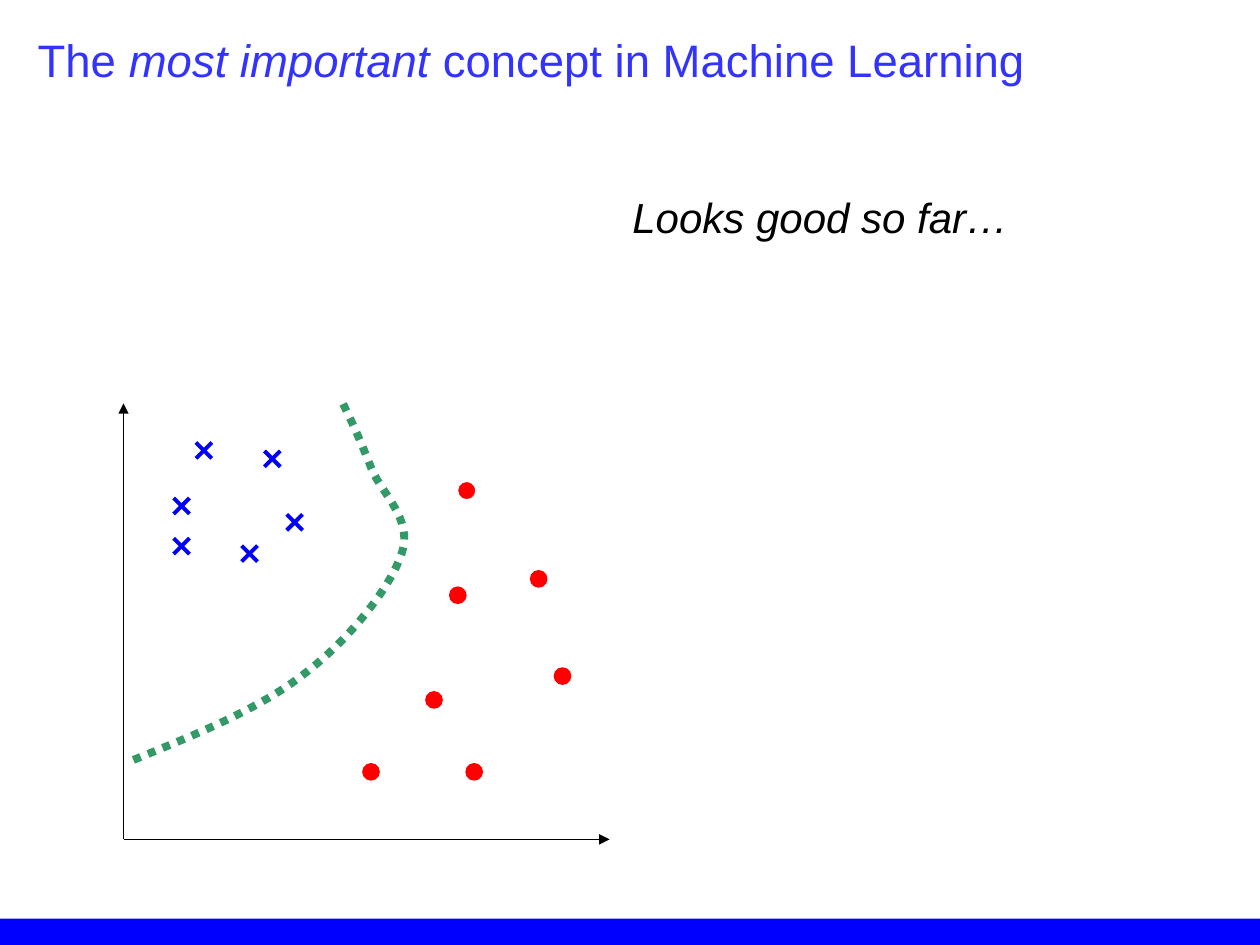
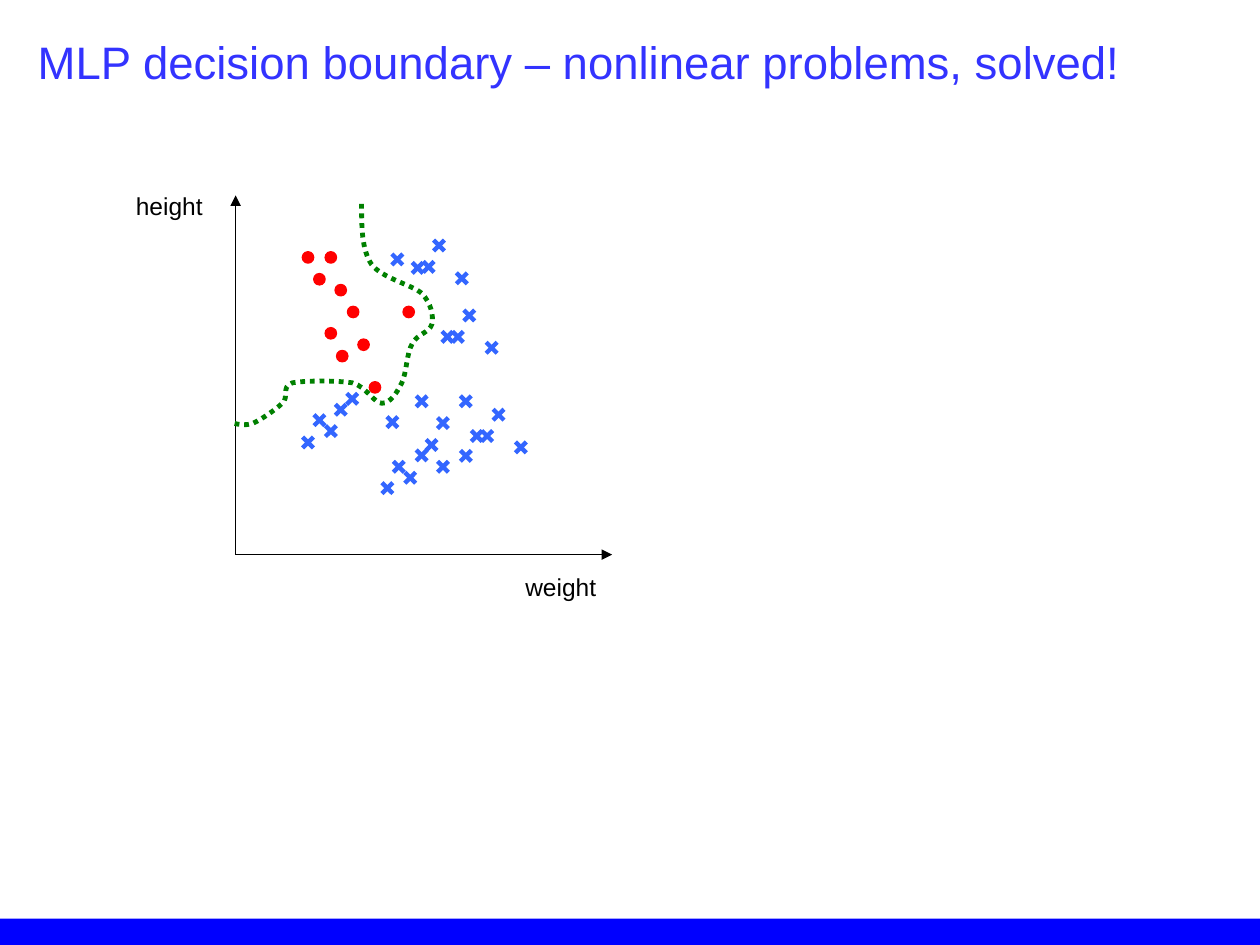
from lxml.etree import SubElement
from pptx import Presentation
from pptx.dml.color import RGBColor
from pptx.enum.dml import MSO_LINE
from pptx.enum.shapes import MSO_CONNECTOR as Link, MSO_SHAPE as Shape
from pptx.oxml.ns import qn
from pptx.util import Cm, Pt

WHITE = RGBColor(0xFF, 0xFF, 0xFF)
BLACK = RGBColor(0, 0, 0)
BLUE = RGBColor(0, 0, 0xFF)
TITLE_BLUE = RGBColor(0x33, 0x33, 0xFF)
SKY_BLUE = RGBColor(0x33, 0x66, 0xFF)
RED = RGBColor(0xFF, 0, 0)
SEA_GREEN = RGBColor(0x33, 0x99, 0x66)
GREEN = RGBColor(0, 0x80, 0)

WIDTH, HEIGHT = 25.4, 19.05
BAND_TOP = 18.52

TITLE = {"name": "Arial", "size": Pt(26)}
REMARK = {"name": "Arial", "size": Pt(24), "italic": True}
AXIS_LABEL = {"name": "Arial", "size": Pt(14)}


class Deck:
    """Holds the shared style and the slide being drawn; all lengths in cm."""

    def __init__(self):
        self.prs = Presentation()
        self.prs.slide_width, self.prs.slide_height = Cm(WIDTH), Cm(HEIGHT)
        self.slide = None

    def new_slide(self, title_runs, title_top):
        self.slide = self.prs.slides.add_slide(self.prs.slide_layouts[6])
        background = self.slide.background.fill
        background.solid()
        background.fore_color.rgb = WHITE
        self.solid(self.slide.shapes, Shape.RECTANGLE,
                   (0, BAND_TOP, WIDTH, HEIGHT - BAND_TOP), BLUE)
        self.text((0.51, title_top, 23.5, 1.37), title_runs, TITLE,
                  TITLE_BLUE, wrap=True)

    def text(self, box, runs, font_format, color=BLACK, wrap=False):
        """Write (text, extra font values) runs as one paragraph."""
        frame = self.slide.shapes.add_textbox(*map(Cm, box)).text_frame
        frame.word_wrap = wrap
        for words, extra in runs:
            run = frame.paragraphs[0].add_run()
            run.text = words
            for key, value in {**font_format, **extra}.items():
                setattr(run.font, key, value)
            run.font.color.rgb = color

    def solid(self, parent, kind, box, color, outline=None):
        shape = parent.add_shape(kind, *map(Cm, box))
        shape.shadow.inherit = False
        shape.fill.solid()
        shape.fill.fore_color.rgb = color
        if outline:
            self.stroke(shape.line, color, outline)
        else:
            shape.line.fill.background()

    def stroke(self, line, color, width):
        line.color.rgb = color
        line.width = Pt(width)

    def line(self, parent, start, end, color, width, arrow=False):
        connector = parent.add_connector(Link.STRAIGHT, *map(Cm, start + end))
        self.stroke(connector.line, color, width)
        properties = connector._element.spPr
        if arrow:
            SubElement(properties.find(qn("a:ln")), qn("a:tailEnd"), type="triangle")
        SubElement(properties, qn("a:effectLst"))

    def axes(self, origin, top, right):
        for tip in ((origin[0], top), (right, origin[1])):
            self.line(self.slide.shapes, origin, tip, BLACK, 0.75, arrow=True)

    def crosses(self, centres, size, color, width):
        half = size / 2
        for x, y in centres:
            cross = self.slide.shapes.add_group_shape().shapes
            for rise in (half, -half):
                self.line(cross, (x - half, y + rise), (x + half, y - rise), color, width)

    def dots(self, centres, size, outline=0.75):
        for x, y in centres:
            self.solid(self.slide.shapes, Shape.OVAL,
                       (x - size / 2, y - size / 2, size, size), RED, outline)

    def boundary(self, points, color, width):
        """Dotted Bézier curve: a start, then two handles and an end per segment."""
        start, *rest = [(Cm(x), Cm(y)) for x, y in points]
        builder = self.slide.shapes.build_freeform(*start)
        builder.add_line_segments(rest, close=False)
        curve = builder.convert_to_shape()
        curve.shadow.inherit = False
        curve.fill.background()
        self.stroke(curve.line, color, width)
        curve.line.dash_style = MSO_LINE.ROUND_DOT
        # Merge each three straight steps into one cubic segment
        outline = curve._element.find(".//" + qn("a:path"))
        steps = outline.findall(qn("a:lnTo"))
        for first in range(0, len(steps), 3):
            segment = SubElement(outline, qn("a:cubicBezTo"))
            for step in steps[first:first + 3]:
                segment.append(step[0])
                outline.remove(step)


def concept_slide(deck):
    deck.new_slide([("The ", {}), ("most important", {"italic": True}),
                    (" concept in Machine Learning", {})], 0.53)
    deck.axes((2.49, 16.92), top=8.13, right=12.29)
    deck.text((12.5, 3.73, 8.2, 2.29), [("Looks good so far…", {})], REMARK)
    deck.boundary([
        (2.69, 15.32),
        (3.94, 14.81), (5.21, 14.3), (6.1, 13.61),
        (7.01, 12.93), (7.87, 11.86), (8.1, 11.15),
        (8.33, 10.46), (7.7, 9.96), (7.49, 9.45),
        (7.29, 8.94), (7.11, 8.53), (6.91, 8.13),
    ], SEA_GREEN, 4.5)
    # The two classes
    deck.crosses([(4.11, 9.08), (5.49, 9.25), (3.66, 10.2), (3.66, 11.01),
                  (5.03, 11.16), (5.94, 10.53)], 0.32, BLUE, 2.25)
    deck.dots([(9.23, 12), (10.86, 11.67), (8.75, 14.11), (9.56, 15.56),
               (11.34, 13.63), (7.48, 15.56)], 0.33)
    deck.dots([(9.41, 9.89)], 0.33, outline=0.25)


def mlp_slide(deck):
    deck.new_slide([("MLP decision boundary – nonlinear problems, solved!", {})], 0.56)
    deck.axes((4.75, 11.18), top=3.94, right=12.34)
    # Axis labels, with room to stay on one line
    for label, left, top in (("height", 2.49, 3.73), ("weight", 10.34, 11.4)):
        deck.text((left, top, 2.1, 0.86), [(label, {})], AXIS_LABEL)
    # The two classes
    deck.dots([(6.21, 5.19), (6.87, 5.85), (6.44, 5.63), (7.12, 6.29), (6.67, 5.19),
               (6.67, 6.72), (6.9, 7.18), (7.33, 6.95), (8.24, 6.29), (7.56, 7.81)], 0.23)
    deck.crosses([
        (7.91, 8.51), (8.7, 8.97), (8.93, 8.53), (9.39, 8.09), (8.27, 9.63),
        (9.82, 8.79), (8.04, 9.41), (8.5, 8.09), (8.5, 9.18), (9.39, 9.19),
        (9.61, 8.79), (10.05, 8.36), (8.93, 9.41), (7.81, 9.84), (8.01, 5.23),
        (10.5, 9.02), (8.64, 5.38), (8.42, 5.4), (8.85, 4.95), (9.31, 5.61),
        (9.23, 6.79), (9.02, 6.79), (9.46, 6.36), (9.91, 7.01), (7.1, 8.04),
        (6.67, 8.69), (6.44, 8.47), (6.87, 8.26), (6.21, 8.92),
    ], 0.22, SKY_BLUE, 2.5)
    deck.boundary([
        (7.29, 4.11),
        (7.29, 4.57), (7.29, 5.03), (7.49, 5.33),
        (7.7, 5.61), (8.31, 5.74), (8.51, 5.92),
        (8.69, 6.12), (8.74, 6.35), (8.71, 6.53),
        (8.66, 6.71), (8.41, 6.73), (8.31, 6.93),
        (8.2, 7.11), (8.2, 7.52), (8.1, 7.72),
        (8, 7.92), (7.87, 8.13), (7.7, 8.13),
        (7.54, 8.13), (7.39, 7.8), (7.11, 7.72),
        (6.81, 7.67), (6.12, 7.67), (5.89, 7.72),
        (5.66, 7.8), (5.84, 8), (5.69, 8.13),
        (5.56, 8.26), (5.26, 8.46), (5.11, 8.53),
        (4.93, 8.59), (4.83, 8.56), (4.7, 8.53),
    ], GREEN, 2.75)


def main():
    deck = Deck()
    concept_slide(deck)
    mlp_slide(deck)
    deck.prs.save("out.pptx")


if __name__ == "__main__":
    main()
